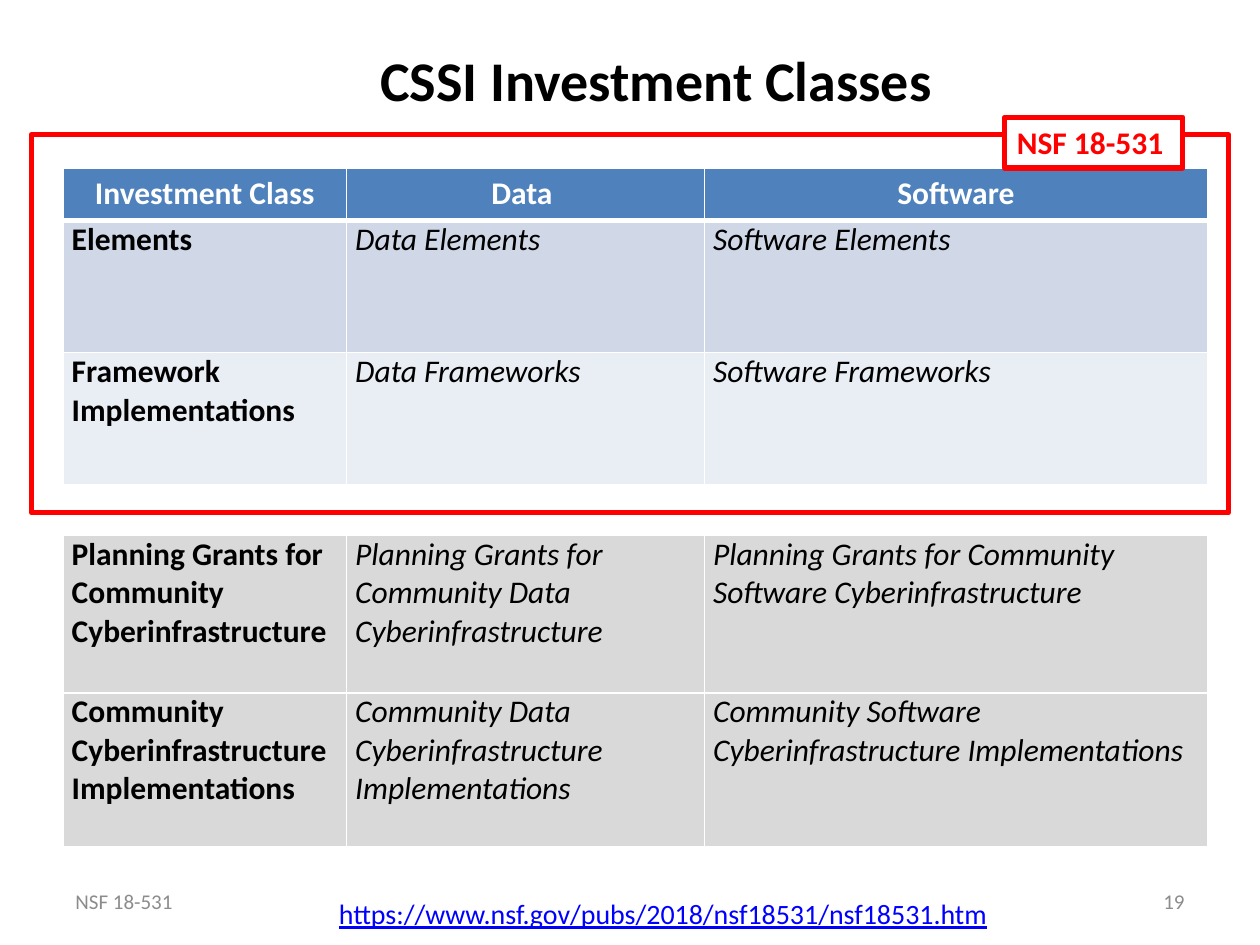
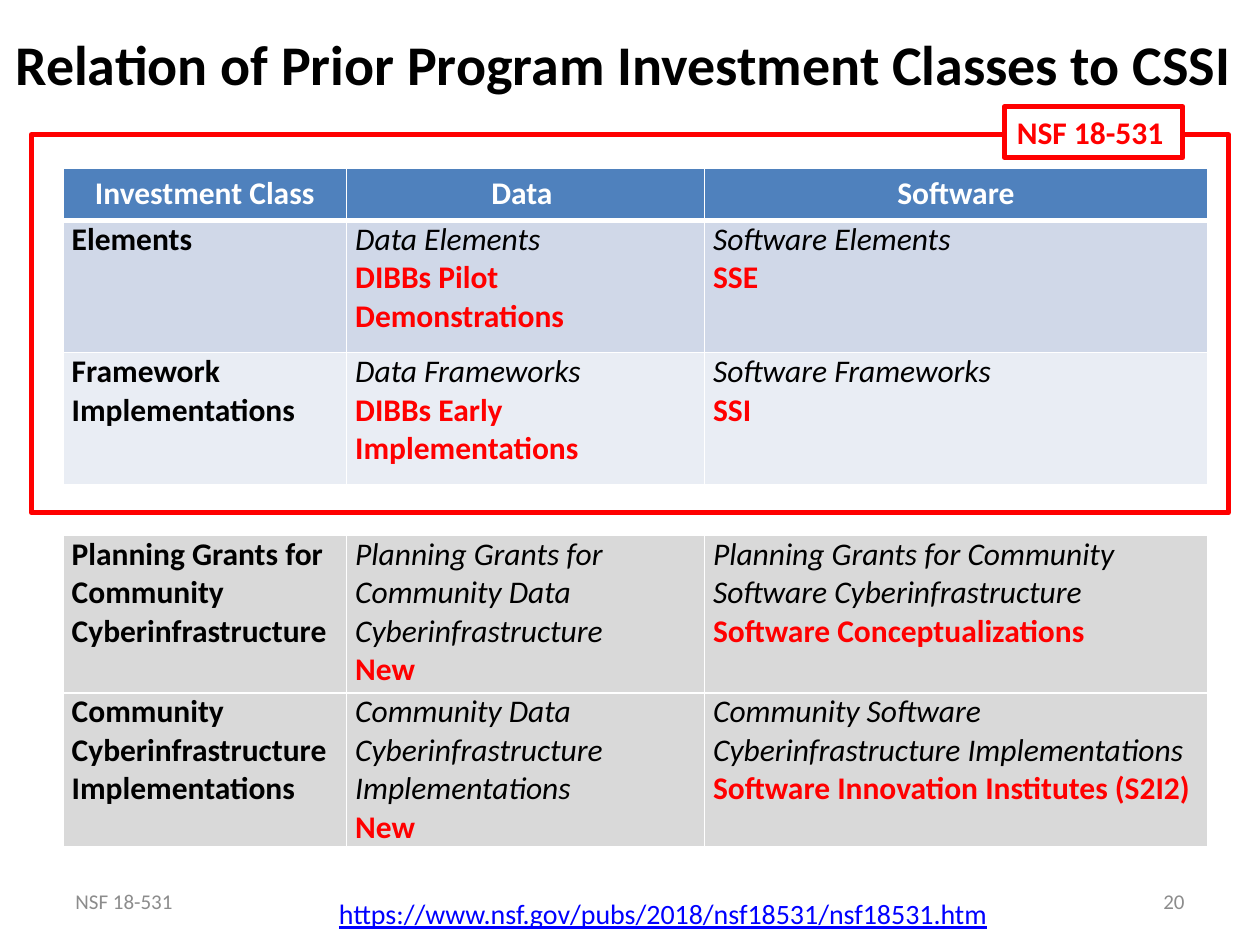
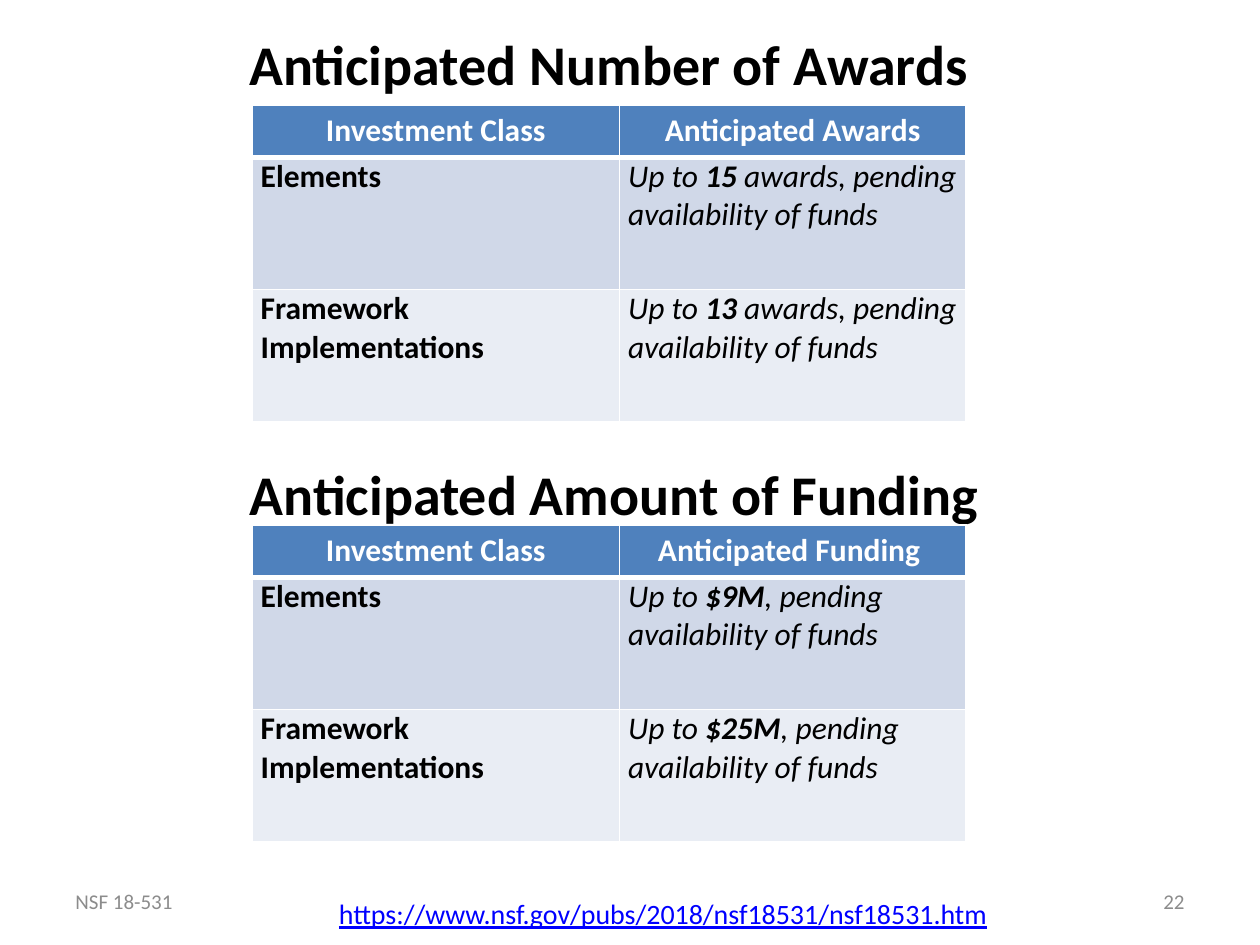
from lxml import etree
from pptx import Presentation
from pptx.dml.color import RGBColor
from pptx.enum import shapes, text
from pptx.oxml import ns
from pptx.util import Pt

FONT = "Calibri"
COLORS = {
    "black": "000000", "white": "FFFFFF", "red": "FF0000", "link": "0000FF",
    "footer": "8C8C8C", "header": "4F81BD", "band dark": "D0D8E8",
    "band light": "E9EDF4", "grey": "D9D9D9",
}
SOLICITATION = "NSF 18-531"
LINK = "https://www.nsf.gov/pubs/2018/nsf18531/nsf18531.htm"

# Run styles in table cells: bold, italic, colour
STYLES = {
    "header": (True, False, "white"),
    "class": (True, False, "black"),
    "detail": (False, True, "black"),
    "amount": (True, True, "black"),
    "prior": (True, False, "red"),
}

CLASS_HEADER = ["Investment Class", "Data ", "Software"]
CLASS_ROWS = [
    ("Elements", "Data Elements", "Software Elements"),
    ("Framework Implementations", "Data Frameworks", "Software Frameworks"),
    None,
    ("Planning Grants for Community Cyberinfrastructure",
     "Planning Grants for Community Data Cyberinfrastructure",
     "Planning Grants for Community Software Cyberinfrastructure"),
    ("Community Cyberinfrastructure Implementations",
     "Community Data Cyberinfrastructure Implementations",
     "Community Software Cyberinfrastructure Implementations"),
]
PRIOR_PROGRAMS = [
    ("DIBBs Pilot Demonstrations", "SSE"),
    ("DIBBs Early Implementations", "SSI"),
    None,
    ("New", "Software Conceptualizations"),
    ("New", "Software Innovation Institutes (S2I2)"),
]
# title, title box, top of the red tag, prior programs, slide number
CLASS_SLIDES = [
    ("CSSI Investment Classes", (48, 0, 654, 90), 67, None, 19),
    ("Relation of Prior Program Investment Classes to CSSI ", (0, 0, 720, 72),
     61, PRIOR_PROGRAMS, 20),
]
# title, title box, table top, column heading, amounts, text after the amount
AWARD_TABLES = [
    ("Anticipated Number of Awards", (60, 0, 576, 72), 60, "Anticipated Awards",
     ("15", "13"), " awards, pending availability of funds"),
    ("Anticipated Amount of Funding", (60, 246, 582, 72), 300, "Anticipated Funding ",
     ("$9M", "$25M"), ", pending availability of funds"),
]
AWARD_PAGE = 22

CLASS_COLUMNS = (162, 204.5, 287.5)
AWARD_COLUMNS = (210, 198)
ROW_HEIGHTS = (30, 75.5, 75.5, 29, 90, 88)
ROW_FILLS = ("header", "band dark", "band light", "white", "grey", "grey")


def color(name):
    return RGBColor.from_string(COLORS[name])


def points(box):
    return [Pt(length) for length in box]


def write(shape, words, size, ink, bold=False, align=text.PP_ALIGN.LEFT,
          anchor=text.MSO_ANCHOR.MIDDLE):
    frame = shape.text_frame
    frame.word_wrap = True
    frame.vertical_anchor = anchor
    paragraph = frame.paragraphs[0]
    paragraph.text = words
    paragraph.alignment = align
    font = paragraph.font
    font.name, font.size, font.bold = FONT, Pt(size), bold
    font.color.rgb = color(ink)


def add_title(slide, words, box):
    write(slide.shapes.add_textbox(*points(box)), words, 32, "black", True,
          text.PP_ALIGN.CENTER)


def add_footer(slide, number):
    link = slide.shapes.add_textbox(*points((183, 509, 393, 26.5)))
    write(link, " ", 16, "black", anchor=text.MSO_ANCHOR.TOP)
    link.text_frame.word_wrap = False
    run = link.text_frame.paragraphs[0].add_run()
    run.text = LINK
    run.font.underline = True
    run.font.color.rgb = color("link")
    for left, words, align in ((36, SOLICITATION, text.PP_ALIGN.LEFT),
                               (516, str(number), text.PP_ALIGN.RIGHT)):
        box = slide.shapes.add_textbox(*points((left, 500.5, 168, 28.5)))
        write(box, words, 12, "footer", align=align)


def add_red_box(slide, box, fill=None):
    shape = slide.shapes.add_shape(shapes.MSO_SHAPE.RECTANGLE, *points(box))
    shape.shadow.inherit = False
    shape.line.color.rgb = color("red")
    shape.line.width = Pt(3)
    if fill:
        shape.fill.solid()
        shape.fill.fore_color.rgb = color(fill)
    else:
        shape.fill.background()
    return shape


def add_borders(cell, bottom):
    """Give a cell white borders, 1 pt except the bottom one."""
    properties = cell._tc.get_or_add_tcPr()
    for side, width in (("L", 1), ("R", 1), ("T", 1), ("B", bottom)):
        line = etree.SubElement(properties, ns.qn(f"a:ln{side}"), w=str(Pt(width)))
        fill = etree.SubElement(line, ns.qn("a:solidFill"))
        etree.SubElement(fill, ns.qn("a:srgbClr"), val=COLORS["white"])


def fill_cell(cell, paragraphs, row):
    """Write paragraphs, each a list of (words, style) runs, into a cell."""
    # The first body row shares its top edge with the thick header rule
    add_borders(cell, 3 if row == 0 else 1)
    cell.fill.solid()
    cell.fill.fore_color.rgb = color(ROW_FILLS[row])
    if row and paragraphs:
        cell.margin_left = cell.margin_right = Pt(5)
        cell.margin_top = cell.margin_bottom = 0
    frame = cell.text_frame
    for index, runs in enumerate(paragraphs):
        paragraph = frame.add_paragraph() if index else frame.paragraphs[0]
        if row == 0:
            paragraph.alignment = text.PP_ALIGN.CENTER
        for words, style in runs:
            run = paragraph.add_run()
            run.text = words
            font = run.font
            font.name, font.size = FONT, Pt(18)
            font.bold, font.italic, ink = STYLES[style]
            font.color.rgb = color(ink)


def add_grid(slide, left, top, columns, header, body):
    rows = [[[[(words, "header")]] for words in header]] + body
    heights = ROW_HEIGHTS[:len(rows)]
    table = slide.shapes.add_table(
        len(rows), len(columns),
        *points((left, top, sum(columns), sum(heights)))).table
    table.first_row = table.horz_banding = False
    for column, width in zip(table.columns, columns):
        column.width = Pt(width)
    for index, (height, cells) in enumerate(zip(heights, rows)):
        table.rows[index].height = Pt(height)
        for column, paragraphs in enumerate(cells):
            fill_cell(table.cell(index, column), paragraphs, index)


def class_body(prior_programs):
    body = []
    for index, names in enumerate(CLASS_ROWS):
        if names is None:
            body.append([[]] * len(CLASS_HEADER))
            continue
        cells = [[[(name, "detail" if column else "class")]]
                 for column, name in enumerate(names)]
        if prior_programs:
            for cell, program in zip(cells[1:], prior_programs[index]):
                cell.append([(program, "prior")])
        body.append(cells)
    return body


def award_body(amounts, ending):
    body = [[[[(names[0], "class")]],
             [[("Up to ", "detail"), (amount, "amount"), (ending, "detail")]]]
            for names, amount in zip(CLASS_ROWS, amounts)]
    return body + [[[], []]]


def main():
    presentation = Presentation()
    presentation.slide_width, presentation.slide_height = Pt(720), Pt(540)
    blank = presentation.slide_layouts[6]

    for title, title_box, tag_top, prior_programs, number in CLASS_SLIDES:
        slide = presentation.slides.add_slide(blank)
        add_footer(slide, number)
        add_title(slide, title, title_box)
        add_grid(slide, 36, 96, CLASS_COLUMNS, CLASS_HEADER, class_body(prior_programs))
        add_red_box(slide, (18, 77, 684, 216))
        tag = add_red_box(slide, (574, tag_top, 102, 29), "white")
        write(tag, SOLICITATION, 18, "red", True, anchor=text.MSO_ANCHOR.TOP)

    slide = presentation.slides.add_slide(blank)
    add_footer(slide, AWARD_PAGE)
    for title, title_box, top, heading, amounts, ending in AWARD_TABLES:
        add_title(slide, title, title_box)
        add_grid(slide, 144, top, AWARD_COLUMNS, [CLASS_HEADER[0], heading],
                 award_body(amounts, ending))

    presentation.save("out.pptx")


if __name__ == "__main__":
    main()
